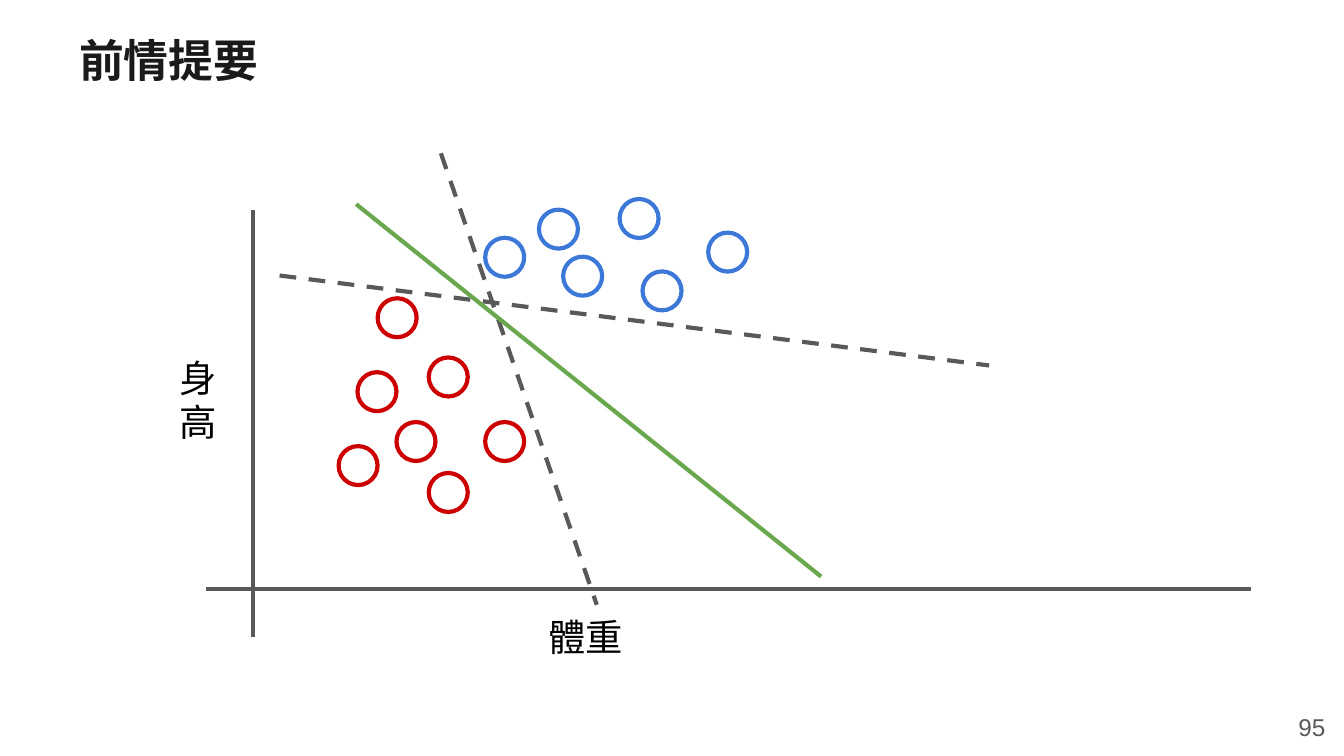
from dataclasses import dataclass

from lxml.etree import SubElement
from pptx import Presentation
from pptx.dml.color import RGBColor
from pptx.enum.dml import MSO_LINE_DASH_STYLE as Dash
from pptx.enum.shapes import MSO_CONNECTOR, MSO_SHAPE
from pptx.enum.text import MSO_ANCHOR as Anchor, PP_ALIGN as Align
from pptx.oxml.ns import qn
from pptx.slide import Slide
from pptx.util import Pt


@dataclass(frozen=True)
class Theme:
    font: str = "Arial"
    title_color: str = "1A1A1A"
    label_color: str = "000000"
    muted: str = "595959"
    red: str = "CC0000"
    blue: str = "3C78D8"
    green: str = "6AA84F"
    title_size: float = 24
    label_size: float = 20
    number_size: float = 13
    stroke: float = 2.25
    sample_diameter: float = 20.9
    inset: float = 7.2


THEME = Theme()


@dataclass(frozen=True)
class Label:
    text: str
    box: tuple[float, float, float, float]
    size: float
    color: str
    bold: bool = False
    align: Align = Align.LEFT
    anchor: Anchor = Anchor.TOP


@dataclass(frozen=True)
class Line:
    start: tuple[float, float]
    end: tuple[float, float]
    color: str = THEME.muted
    dashed: bool = False


@dataclass(frozen=True)
class SampleGroup:
    """Circles of one class, given by their top-left corners."""
    color: str
    corners: tuple[tuple[float, float], ...]


TITLE = Label("前情提要", (35.3, 8.6, 641.5, 46.8), THEME.title_size,
              THEME.title_color, bold=True, anchor=Anchor.MIDDLE)
AXIS_LABELS = (
    Label("身高", (89.3, 182.9, 39.6, 60.5), THEME.label_size, THEME.label_color),
    Label("體重", (286.6, 321.8, 92.9, 60.5), THEME.label_size, THEME.label_color),
)
PAGE_NUMBER = Label("95", (673.9, 373.7, 43.2, 31), THEME.number_size,
                    THEME.muted, align=Align.RIGHT, anchor=Anchor.MIDDLE)

AXES = (
    Line((135.4, 112.3), (135.4, 341.3)),
    Line((110.2, 315.4), (670.3, 315.4)),
)
BOUNDARIES = (
    Line((236.2, 82.1), (319.7, 324), dashed=True),
    Line((149.8, 147.6), (529.9, 195.8), dashed=True),
    Line((190.8, 109.4), (439.9, 308.9), THEME.green),
)
SAMPLE_GROUPS = (
    SampleGroup(THEME.red, (
        (202.3, 159.8), (191.5, 199.4), (229.7, 191.5), (212.4, 226.1),
        (259.9, 226.1), (181.4, 239), (229.7, 253.4))),
    SampleGroup(THEME.blue, (
        (259.9, 127.4), (288.7, 112.3), (301.7, 137.5), (331.9, 106.6),
        (344.2, 145.4), (379.4, 124.6))),
)


def draw_label(slide: Slide, label: Label) -> None:
    frame = slide.shapes.add_textbox(*map(Pt, label.box)).text_frame
    frame.word_wrap = True
    frame.vertical_anchor = label.anchor
    frame.margin_left = frame.margin_right = Pt(THEME.inset)
    frame.margin_top = frame.margin_bottom = Pt(THEME.inset)
    frame.text = label.text
    paragraph = frame.paragraphs[0]
    paragraph.alignment = label.align
    run = paragraph.runs[0]
    run.font.name = THEME.font
    run.font.size = Pt(label.size)
    run.font.bold = label.bold
    run.font.color.rgb = RGBColor.from_string(label.color)
    SubElement(run._r.get_or_add_rPr(), qn("a:ea"), typeface=THEME.font)


def draw_line(slide: Slide, line: Line) -> None:
    connector = slide.shapes.add_connector(
        MSO_CONNECTOR.STRAIGHT, *map(Pt, line.start + line.end))
    connector.line.color.rgb = RGBColor.from_string(line.color)
    connector.line.width = Pt(THEME.stroke)
    if line.dashed:
        connector.line.dash_style = Dash.DASH
    SubElement(connector._element.spPr, qn("a:effectLst"))


def draw_samples(slide: Slide, group: SampleGroup) -> None:
    diameter = Pt(THEME.sample_diameter)
    for left, top in group.corners:
        circle = slide.shapes.add_shape(
            MSO_SHAPE.OVAL, Pt(left), Pt(top), diameter, diameter)
        circle.shadow.inherit = False
        circle.fill.background()
        circle.line.color.rgb = RGBColor.from_string(group.color)
        circle.line.width = Pt(THEME.stroke)


def main() -> None:
    deck = Presentation()
    deck.slide_width, deck.slide_height = Pt(720), Pt(405)
    slide = deck.slides.add_slide(deck.slide_layouts[6])
    draw_label(slide, TITLE)
    for axis in AXES:
        draw_line(slide, axis)
    for axis_label in AXIS_LABELS:
        draw_label(slide, axis_label)
    for group in SAMPLE_GROUPS:
        draw_samples(slide, group)
    for boundary in BOUNDARIES:
        draw_line(slide, boundary)
    draw_label(slide, PAGE_NUMBER)
    deck.save("out.pptx")


if __name__ == "__main__":
    main()
